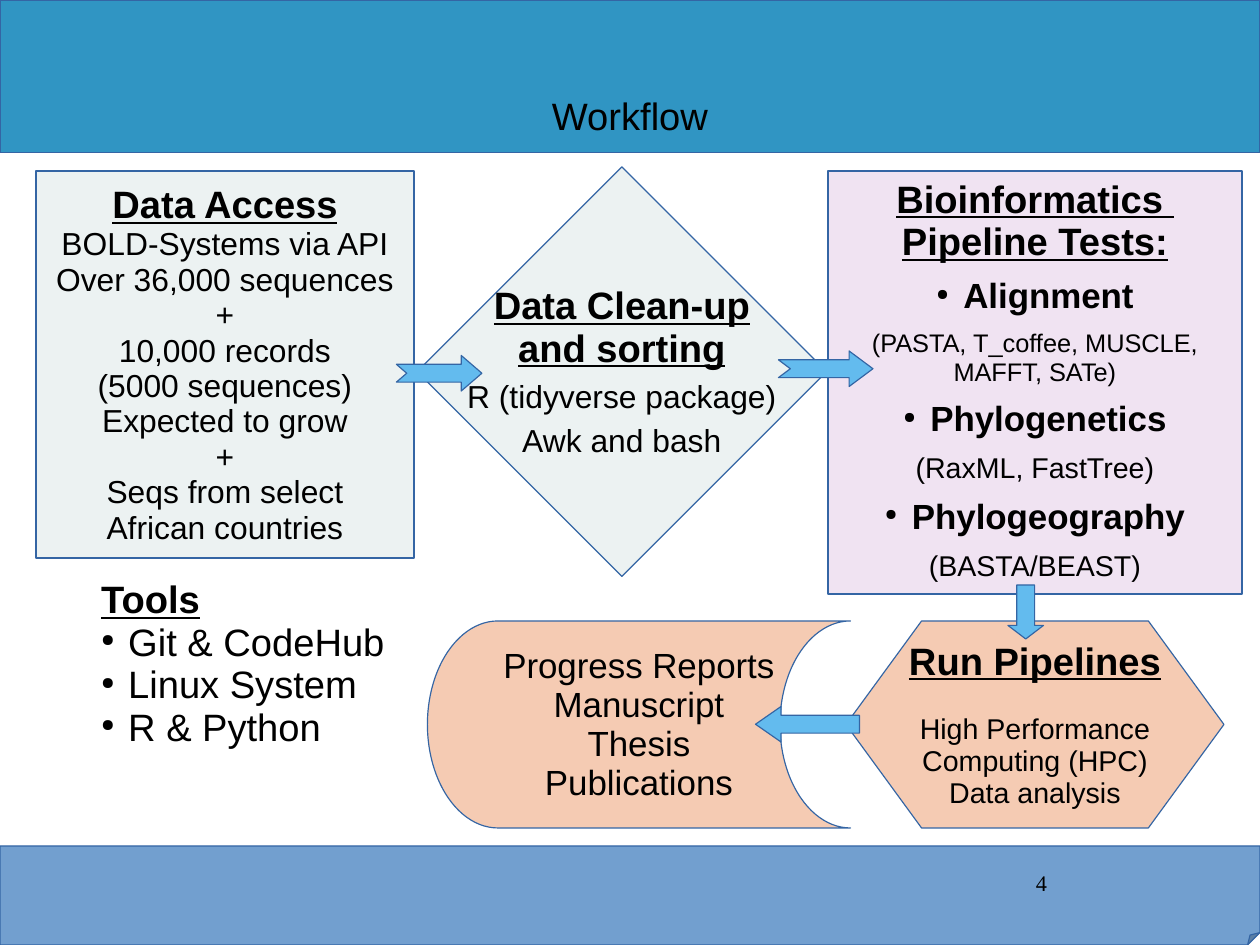
from lxml import etree
from pptx import Presentation
from pptx.dml.color import RGBColor
from pptx.enum.shapes import MSO_SHAPE
from pptx.enum.text import MSO_ANCHOR, PP_ALIGN
from pptx.oxml.ns import qn
from pptx.util import Cm, Pt

RECT, FOLDED = MSO_SHAPE.RECTANGLE, MSO_SHAPE.FOLDED_CORNER
PROCESS, DECISION = MSO_SHAPE.FLOWCHART_PROCESS, MSO_SHAPE.FLOWCHART_DECISION
PREPARATION, STORED = MSO_SHAPE.FLOWCHART_PREPARATION, MSO_SHAPE.FLOWCHART_STORED_DATA
NOTCHED, LEFT_ARROW, DOWN_ARROW = (
    MSO_SHAPE.NOTCHED_RIGHT_ARROW, MSO_SHAPE.LEFT_ARROW, MSO_SHAPE.DOWN_ARROW)
LEFT, CENTER, RIGHT = PP_ALIGN.LEFT, PP_ALIGN.CENTER, PP_ALIGN.RIGHT
TOP, MIDDLE = MSO_ANCHOR.TOP, MSO_ANCHOR.MIDDLE

# Content: boxes are (left, top, width, height) in cm, lines are (style, text)
BANDS = [
    (FOLDED, (0, 18.8, 28, 2.2), "footer", {"adj": 0.125}),
    (RECT, (0, 0, 28, 3.4), "header", {}),
]
LABELS = [
    ((20.19, 19.18, 3.33, 1.19), RIGHT, TOP, [("number", "4")]),
    ((1.4, 0.84, 25.2, 3.5), CENTER, MIDDLE, [("title", "Workflow")]),
    ((2, 12.7, 8.4, 5.8), LEFT, TOP, [
        ("heading", "Tools"),
        ("tool", "Git & CodeHub"),
        ("tool", "Linux System"),
        ("tool", "R & Python"),
    ]),
]
STEPS = [
    (PROCESS, (0.8, 3.8, 8.4, 8.6), "input", MIDDLE, [
        ("heading", "Data Access"),
        ("body", "BOLD-Systems via API"),
        ("body", "Over 36,000 sequences"),
        ("body", "+"),
        ("body", "10,000 records"),
        ("body", "(5000 sequences)"),
        ("body", "Expected to grow"),
        ("body", "+"),
        ("body", "Seqs from select"),
        ("body", "African countries"),
    ]),
    (DECISION, (9.27, 3.71, 9.1, 9.1), "input", MIDDLE, [
        ("heading", "Data Clean-up"),
        ("heading", "and sorting"),
        ("spaced_body", "R (tidyverse package)"),
        ("body", "Awk and bash"),
    ]),
    (PREPARATION, (18.8, 13.8, 8.4, 4.6), "output", MIDDLE, [
        ("heading", "Run Pipelines"),
        ("after_gap", "High Performance"),
        ("detail", "Computing (HPC)"),
        ("detail", "Data analysis"),
    ]),
    (STORED, (9.5, 13.8, 9.4, 4.6), "output", MIDDLE, [
        ("report", "Progress Reports"),
        ("report", "Manuscript"),
        ("report", "Thesis"),
        ("report", "Publications"),
    ]),
    (PROCESS, (18.4, 3.8, 9.2, 9.4), "tests", TOP, [
        ("heading", "Bioinformatics "),
        ("heading", "Pipeline Tests:"),
        ("test", "Alignment"),
        ("small", "(PASTA, T_coffee, MUSCLE,"),
        ("small", "MAFFT, SATe)"),
        ("test", "Phylogenetics"),
        ("detail", "(RaxML, FastTree)"),
        ("test", "Phylogeography"),
        ("detail", "(BASTA/BEAST)"),
    ]),
]
ARROWS = [
    (NOTCHED, (8.81, 7.9, 1.9, 0.79), {"adj1": 0.5, "adj2": 0.58}),
    (NOTCHED, (17.3, 7.8, 2.1, 0.79), {"adj1": 0.5, "adj2": 0.67}),
    (LEFT_ARROW, (16.79, 15.7, 2.31, 0.79), {"adj1": 0.5, "adj2": 0.72}),
    (DOWN_ARROW, (22.4, 13, 0.79, 1.2), {"adj1": 0.5, "adj2": 0.38}),
]

THEME = {
    "colors": {"header": "3095C3", "footer": "729FCF", "input": "ECF2F2",
               "output": "F5CBB3", "tests": "F0E3F2", "arrow": "63BBEE",
               "line": "3465A4", "text": "000000"},
    "line_width": 0.75,
    # style: (font values, paragraph values, bulleted)
    "styles": {
        "title": ({"size": Pt(24)}, {}, False),
        "number": ({"size": Pt(14), "name": "Times New Roman"}, {}, False),
        "heading": ({"size": Pt(24), "bold": True, "underline": True}, {}, False),
        "body": ({"size": Pt(20)}, {}, False),
        "spaced_body": ({"size": Pt(20)},
                        {"space_before": Pt(5.8), "space_after": Pt(5.8)}, False),
        "report": ({"size": Pt(22)}, {}, False),
        "detail": ({"size": Pt(18)}, {}, False),
        "after_gap": ({"size": Pt(18)}, {"space_before": Pt(19.2)}, False),
        "small": ({"size": Pt(16)}, {}, False),
        "tool": ({"size": Pt(24)}, {}, True),
        "test": ({"size": Pt(22), "bold": True},
                 {"space_before": Pt(8.5), "space_after": Pt(8.5)}, True),
    },
    "font": {"name": "Arial", "bold": False, "underline": False},
    "paragraph": {"line_spacing": 0.93},
    "frame": {"margin_left": Cm(0.25), "margin_top": Cm(0.18),
              "margin_right": Cm(0.25), "margin_bottom": Cm(0.13)},
}


def color(name):
    return RGBColor.from_string(THEME["colors"][name])


def apply(target, values):
    for key, value in values.items():
        setattr(target, key, value)


def add_bullet(paragraph):
    props = paragraph._p.get_or_add_pPr()
    props.set("marL", str(Cm(0.6)))
    props.set("indent", str(-Cm(0.6)))
    tint = etree.SubElement(props, qn("a:buClr"))
    etree.SubElement(tint, qn("a:srgbClr"), val=THEME["colors"]["text"])
    etree.SubElement(props, qn("a:buSzPct"), val="45000")
    etree.SubElement(props, qn("a:buChar"), char="●")


def write(holder, lines, align, anchor, wrap):
    frame = holder.text_frame
    apply(frame, THEME["frame"] | {"vertical_anchor": anchor, "word_wrap": wrap})
    for i, (style, text) in enumerate(lines):
        font, spacing, bulleted = THEME["styles"][style]
        paragraph = frame.add_paragraph() if i else frame.paragraphs[0]
        if bulleted:
            add_bullet(paragraph)
        apply(paragraph, THEME["paragraph"] | spacing | {"alignment": align})
        run = paragraph.add_run()
        run.text = text
        apply(run.font, THEME["font"] | font)
        run.font.color.rgb = color("text")


def set_guides(shape, guides):
    geometry = shape._element.spPr.find(qn("a:prstGeom"))
    for child in list(geometry):
        geometry.remove(child)
    values = etree.SubElement(geometry, qn("a:avLst"))
    for name, share in guides.items():
        etree.SubElement(values, qn("a:gd"), name=name, fmla=f"val {round(share * 100000)}")


def draw(slide, kind, box, fill, guides=None):
    shape = slide.shapes.add_shape(kind, *map(Cm, box))
    shape.shadow.inherit = False
    shape.fill.solid()
    shape.fill.fore_color.rgb = color(fill)
    shape.line.color.rgb = color("line")
    shape.line.width = Pt(THEME["line_width"])
    if guides:
        set_guides(shape, guides)
    return shape


def main():
    deck = Presentation()
    deck.slide_width, deck.slide_height = Cm(28), Cm(21)
    slide = deck.slides.add_slide(deck.slide_layouts[6])

    # Header and footer bands
    for kind, box, fill, guides in BANDS:
        draw(slide, kind, box, fill, guides)

    # Title, page number and tools
    for box, align, anchor, lines in LABELS:
        write(slide.shapes.add_textbox(*map(Cm, box)), lines, align, anchor, True)

    # Workflow steps
    for kind, box, fill, anchor, lines in STEPS:
        write(draw(slide, kind, box, fill), lines, CENTER, anchor, anchor == TOP)

    # Arrows between the steps
    for kind, box, guides in ARROWS:
        draw(slide, kind, box, "arrow", guides)

    deck.save("out.pptx")


if __name__ == "__main__":
    main()
